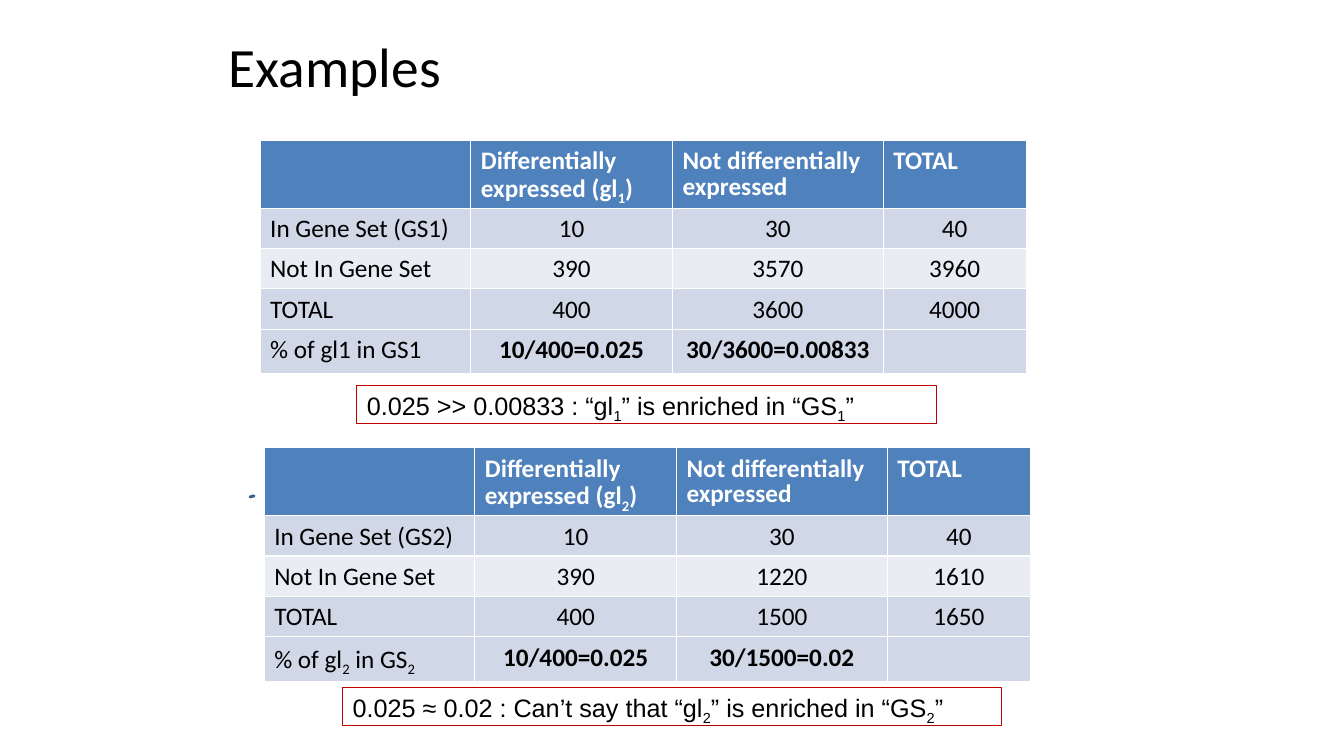
from pptx import Presentation
from pptx.dml.color import RGBColor
from pptx.enum.shapes import MSO_SHAPE
from pptx.enum.text import MSO_ANCHOR, MSO_AUTO_SIZE, PP_ALIGN
from pptx.oxml import parse_xml
from pptx.oxml.ns import nsdecls
from pptx.util import Pt

PX = 9144  # 100 px to the inch
BLACK, WHITE = "000000", "FFFFFF"
HEADER_BLUE, BAND_DARK, BAND_LIGHT = "4F81BD", "D0D8E7", "E9ECF3"
RED, STROKE_BLUE = "C00000", "3A5F8B"
COLUMN_WIDTHS = [209, 200, 209, 142]
ROW_HEIGHTS = [64, 40, 40, 40, 40]
ROW_FILLS = [HEADER_BLUE, BAND_DARK, BAND_LIGHT, BAND_DARK, BAND_DARK]


def px(*lengths):
    return [length * PX for length in lengths]


def color(hex_string):
    return RGBColor.from_string(hex_string)


def add_runs(paragraph, text, size, font_name, font_color, bold=False):
    """Add text run by run; pieces between ~ marks become subscripts."""
    for index, piece in enumerate(text.split("~")):
        if not piece:
            continue
        run = paragraph.add_run()
        run.text = piece
        run.font.size = Pt(size)
        run.font.name = font_name
        run.font.bold = bold
        run.font.color.rgb = color(font_color)
        if index % 2:
            run.font._element.set("baseline", "-25000")


def add_title(slide, box, text):
    title = slide.shapes.title
    title.left, title.top, title.width, title.height = px(*box)
    frame = title.text_frame
    frame.auto_size = MSO_AUTO_SIZE.NONE
    frame.vertical_anchor = MSO_ANCHOR.MIDDLE
    paragraph = frame.paragraphs[0]
    paragraph.alignment = PP_ALIGN.LEFT
    add_runs(paragraph, text, 39.6, "Calibri", BLACK)


def set_borders(cell):
    properties = cell._tc.get_or_add_tcPr()
    for side in ("lnL", "lnR", "lnT", "lnB"):
        properties.append(parse_xml(
            f'<a:{side} {nsdecls("a")} w="{Pt(0.96)}"><a:solidFill>'
            f'<a:srgbClr val="{WHITE}"/></a:solidFill></a:{side}>'))


def fill_cell(cell, text, row, column):
    set_borders(cell)
    cell.fill.solid()
    cell.fill.fore_color.rgb = color(ROW_FILLS[row])
    cell.margin_left, cell.margin_top, cell.margin_right, cell.margin_bottom = px(10, 9, 10, 5)
    paragraph = cell.text_frame.paragraphs[0]
    if not text:
        paragraph.font.size = Pt(18)
        return
    is_header, is_ratio = row == 0, row == 4 and column > 0
    paragraph.line_spacing = 0.83
    paragraph.alignment = PP_ALIGN.CENTER if row and column else PP_ALIGN.LEFT
    add_runs(paragraph, text, 18, "Calibri", WHITE if is_header else BLACK, is_header or is_ratio)


def add_gene_table(slide, left, top, rows):
    box = px(left, top, sum(COLUMN_WIDTHS), sum(ROW_HEIGHTS))
    table = slide.shapes.add_table(len(rows), len(COLUMN_WIDTHS), *box).table
    for column, width in zip(table.columns, px(*COLUMN_WIDTHS)):
        column.width = width
    for row, height in zip(table.rows, px(*ROW_HEIGHTS)):
        row.height = height
    for row, texts in enumerate(rows):
        for column, text in enumerate(texts):
            fill_cell(table.cell(row, column), text, row, column)


def gene_rows(number, set_label, ratio_label, outside, totals, ratios):
    return [
        ["", f"Differentially expressed (gl~{number}~)", "Not differentially expressed", "TOTAL"],
        [set_label, "10", "30", "40"],
        ["Not In Gene Set", *outside],
        ["TOTAL", *totals],
        [ratio_label, *ratios, ""],
    ]


def add_conclusion(slide, box, text):
    shape = slide.shapes.add_shape(MSO_SHAPE.RECTANGLE, *px(*box))
    shape.shadow.inherit = False
    shape.fill.background()
    shape.line.color.rgb = color(RED)
    shape.line.width = Pt(0.75)
    frame = shape.text_frame
    frame.word_wrap = True
    frame.auto_size = MSO_AUTO_SIZE.SHAPE_TO_FIT_TEXT
    frame.vertical_anchor = MSO_ANCHOR.TOP
    paragraph = frame.paragraphs[0]
    paragraph.alignment = PP_ALIGN.LEFT
    paragraph.line_spacing = 0.93
    add_runs(paragraph, text, 18, "Arial", BLACK)


def add_pen_stroke(slide, left, top):
    builder = slide.shapes.build_freeform(left, top + 1, scale=PX)
    builder.add_line_segments([(left + 4, top), (left + 3, top)], close=True)
    stroke = builder.convert_to_shape()
    stroke.shadow.inherit = False
    stroke.fill.background()
    stroke.line.color.rgb = color(STROKE_BLUE)
    stroke.line.width = Pt(2)


def main():
    presentation = Presentation()
    presentation.slide_width, presentation.slide_height = px(1333, 750)
    slide = presentation.slides.add_slide(presentation.slide_layouts[5])
    add_title(slide, (217, 30, 900, 70), "Examples")

    # Enriched gene set
    add_gene_table(slide, 258, 139, gene_rows(
        1, "In Gene Set (GS1)", "% of gl1 in GS1", ["390", "3570", "3960"],
        ["400", "3600", "4000"], ["10/400=0.025", "30/3600=0.00833"]))

    # Gene set without enrichment
    add_pen_stroke(slide, 248, 492)
    add_gene_table(slide, 262, 444, gene_rows(
        2, "In Gene Set (GS2)", "% of gl~2~ in GS~2~", ["390", "1220", "1610"],
        ["400", "1500", "1650"], ["10/400=0.025", "30/1500=0.02"]))

    # Conclusions
    add_conclusion(slide, (354, 382, 575, 38),
                   "0.025 >> 0.00833 : “gl~1~” is enriched in “GS~1~”")
    add_conclusion(slide, (340, 682, 653, 38),
                   "0.025 ≈ 0.02 : Can’t say that “gl~2~” is enriched in “GS~2~”")
    presentation.save("out.pptx")


if __name__ == "__main__":
    main()
